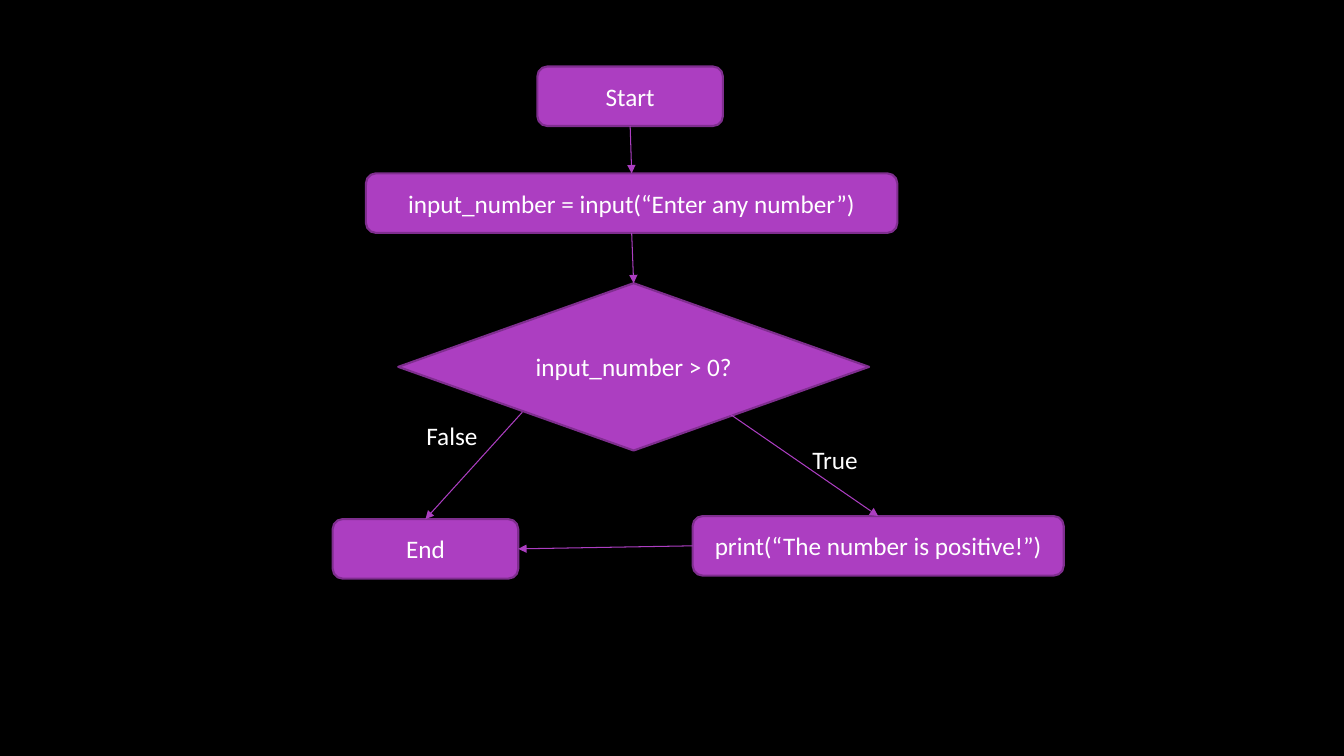
from pptx import Presentation
from pptx.dml.color import RGBColor
from pptx.enum.shapes import MSO_CONNECTOR as LINK, MSO_SHAPE as SHAPE
from pptx.enum.text import MSO_ANCHOR as ANCHOR, MSO_AUTO_SIZE as AUTO, PP_ALIGN as ALIGN
from pptx.oxml.ns import qn
from pptx.util import Pt
from lxml import etree

PX = 9144  # 100 px to the inch
COLORS = {"back": "000000", "fill": "AC3EC1", "edge": "7F2E8F", "text": "FFFFFF"}
TOP, LEFT, BOTTOM, RIGHT = range(4)


def px(*sizes):
    return [size * PX for size in sizes]


def color(name):
    return RGBColor.from_string(COLORS[name])


def paint(fill, name):
    fill.solid()
    fill.fore_color.rgb = color(name)


def write(shape, text, align, **frame):
    for name, value in frame.items():
        setattr(shape.text_frame, name, value)
    para = shape.text_frame.paragraphs[0]
    para.alignment = align
    run = para.add_run()
    run.text = text
    for name, value in {"name": "Calibri", "size": Pt(18)}.items():
        setattr(run.font, name, value)
    run.font.color.rgb = color("text")


def add_node(slide, kind, text, box):
    node = slide.shapes.add_shape(kind, *px(*box))
    node.shadow.inherit = False
    paint(node.fill, "fill")
    paint(node.line.fill, "edge")
    node.line.width = Pt(1.5)
    write(node, text, ALIGN.CENTER, word_wrap=True, vertical_anchor=ANCHOR.MIDDLE)
    return node


def add_label(slide, text, box):
    label = slide.shapes.add_textbox(*px(*box))
    write(label, text, ALIGN.LEFT, word_wrap=False, auto_size=AUTO.SHAPE_TO_FIT_TEXT)


def add_arrow(slide, start, end):
    """Run from start to end; each is a (node, side), and start may be an (x, y) in px."""
    loose = isinstance(start[0], int)
    point = px(*start) if loose else (0, 0)
    arrow = slide.shapes.add_connector(LINK.STRAIGHT, *point, *point)
    if not loose:
        arrow.begin_connect(*start)
    arrow.end_connect(*end)
    paint(arrow.line.fill, "fill")
    arrow.line.width = Pt(0.75)
    props = arrow.line._get_or_add_ln()
    etree.SubElement(props, qn("a:tailEnd"), type="triangle")
    etree.SubElement(props.getparent(), qn("a:effectLst"))


def add_flow(slide, left, top):
    def at(x, y, *size):
        return left + x, top + y, *size

    def step(text, x, y, width):
        return add_node(slide, SHAPE.ROUNDED_RECTANGLE, text, at(x, y, width, 59))

    start = step("Start", 203, 0, 184)
    ask = step("input_number = input(“Enter any number”)", 33, 106, 527)
    test = add_node(slide, SHAPE.DIAMOND, "input_number > 0?", at(65, 215, 467, 166))
    show = step("print(“The number is positive!”)", 357, 446, 368)
    end = step("End", 0, 449, 184)

    for tail, tip in (
        ((start, BOTTOM), (ask, TOP)),
        ((ask, BOTTOM), (test, TOP)),
        (at(387, 340), (show, TOP)),
        (at(188, 343), (end, TOP)),
        ((show, LEFT), (end, RIGHT)),
    ):
        add_arrow(slide, tail, tip)

    add_label(slide, "True", at(466, 370, 66, 40))
    add_label(slide, "False", at(83, 346, 71, 40))


def main():
    deck = Presentation()
    deck.slide_width, deck.slide_height = px(1333, 750)
    slide = deck.slides.add_slide(deck.slide_layouts[6])
    paint(slide.background.fill, "back")
    add_flow(slide, 330, 66)
    deck.save("out.pptx")


if __name__ == "__main__":
    main()
